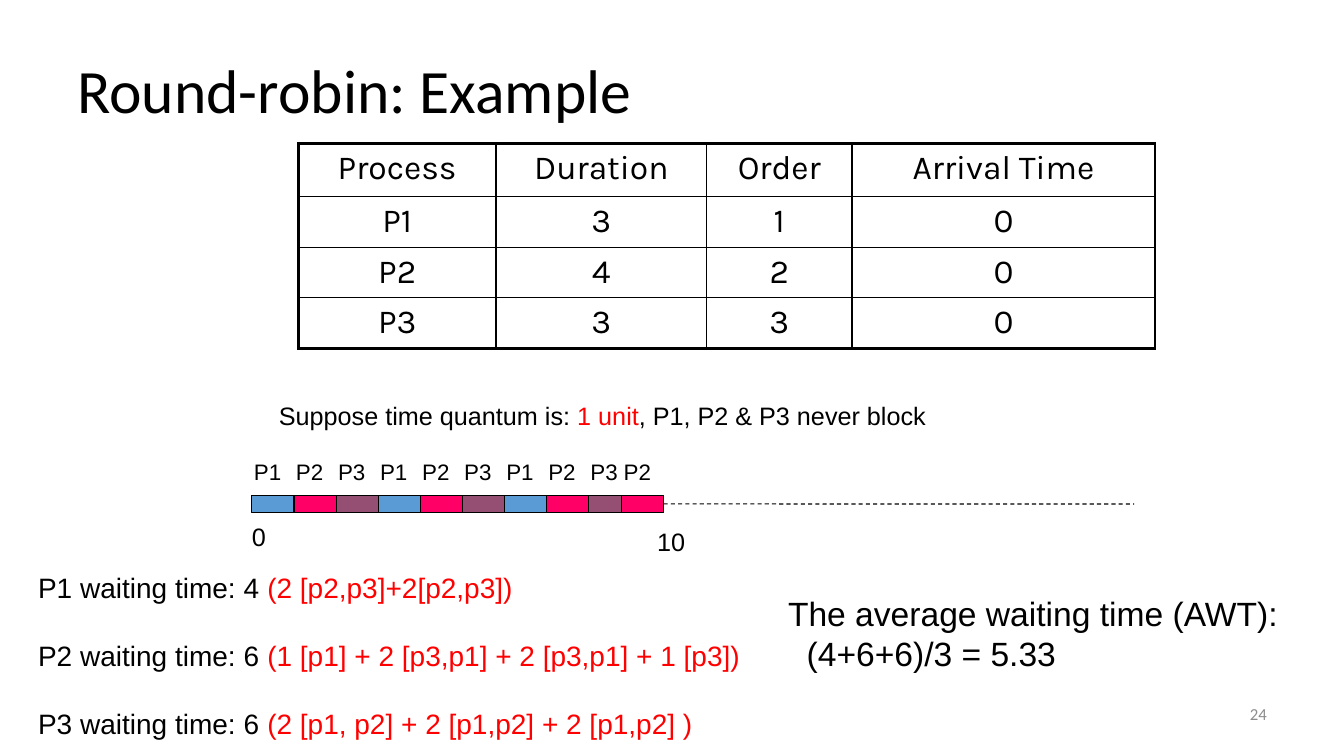
import pptx
import pptx.util
import pptx.dml.color
import pptx.enum.dml
import pptx.enum.shapes
import pptx.enum.text
import pptx.oxml
import pptx.oxml.ns
from dataclasses import dataclass

Cm = pptx.util.Cm
Pt = pptx.util.Pt
Align = pptx.enum.text.PP_ALIGN
Anchor = pptx.enum.text.MSO_ANCHOR
Shape = pptx.enum.shapes.MSO_SHAPE

TITLE = "Round-robin: Example"
PAGE = "24"
ROWS = [
    ("Process", "Duration", "Order", "Arrival Time"),
    ("P1", "3", "1", "0"),
    ("P2", "4", "2", "0"),
    ("P3", "3", "3", "0"),
]
WIDTHS = (4.98, 5.31, 3.66, 7.64)
HEIGHTS = (1.35, 1.24, 1.24, 1.24)
QUANTUM = [("Suppose time quantum is: ", "ink"), ("1 unit", "accent"),
           (", P1, P2 & P3 never block", "ink")]
TURNS = ("P1", "P2", "P3", "P1", "P2", "P3", "P1", "P2", "P3", "P2")
WAITS = [
    [("P1 waiting time: 4 ", "ink"), ("(2 [p2,p3]+2[p2,p3])", "accent")],
    [("P2 waiting time: 6 ", "ink"),
     ("(1 [p1] + 2 [p3,p1] + 2 [p3,p1] + 1 [p3])", "accent")],
    [("P3 waiting time: 6 ", "ink"),
     ("(2 [p1, p2] + 2 [p1,p2] + 2 [p1,p2] )", "accent")],
]
AVERAGE = ("The average waiting time (AWT):", "(4+6+6)/3 = 5.33")


@dataclass
class Theme:
    ink: str = "000000"
    accent: str = "FF0000"
    muted: str = "8C8C8C"
    P1: str = "5B9BD5"
    P2: str = "FF0066"
    P3: str = "954F72"
    head: str = "Calibri"
    body: str = "Arial"
    grid: str = "Karla"
    title: int = 44
    large: int = 24
    wait: int = 20
    note: int = 18
    label: int = 16
    small: int = 12
    thin: float = 0.75
    inner: float = 1
    outer: float = 2.25


theme = Theme()


def color(name):
    return pptx.dml.color.RGBColor.from_string(getattr(theme, name))


def add_run(para, text, size, font=theme.body, tint="ink"):
    run = para.add_run()
    run.text = text
    run.font.size = Pt(size)
    run.font.name = font
    run.font.bold = False
    run.font.color.rgb = color(tint)


def add_text(slide, box, lines, size, font=theme.body, wrap=False,
             anchor=Anchor.TOP):
    """Add a text box; each line is a list of (text, tint) runs."""
    frame = slide.shapes.add_textbox(*map(Cm, box)).text_frame
    frame.word_wrap = wrap
    frame.vertical_anchor = anchor
    for i, line in enumerate(lines):
        para = frame.add_paragraph() if i else frame.paragraphs[0]
        for text, tint in line:
            add_run(para, text, size, font, tint)
    return frame.paragraphs


def add_border(cell, sides):
    """Draw the sides, given as (tag, width) in schema order."""
    props = cell._tc.get_or_add_tcPr()
    for i, (tag, width) in enumerate(sides):
        props.insert(i, pptx.oxml.parse_xml(
            f'<a:{tag} {pptx.oxml.ns.nsdecls("a")} w="{Pt(width)}">'
            f'<a:solidFill><a:srgbClr val="{theme.ink}"/></a:solidFill>'
            f'</a:{tag}>'))


def add_grid(slide):
    rows, cols = len(ROWS), len(WIDTHS)
    table = slide.shapes.add_table(
        rows, cols, Cm(7.52), Cm(3.61),
        Cm(sum(WIDTHS)), Cm(sum(HEIGHTS))).table
    table.first_row = table.horz_banding = False
    for col, width in zip(table.columns, WIDTHS):
        col.width = Cm(width)
    for row, height in zip(table.rows, HEIGHTS):
        row.height = Cm(height)
    for r, texts in enumerate(ROWS):
        for c, text in enumerate(texts):
            cell = table.cell(r, c)
            cell.fill.background()
            edges = (("lnL", c == 0), ("lnR", c == cols - 1),
                     ("lnT", r == 0), ("lnB", r == rows - 1))
            add_border(cell, [(tag, theme.outer if edge else theme.inner)
                              for tag, edge in edges])
            para = cell.text_frame.paragraphs[0]
            para.alignment = Align.CENTER
            add_run(para, text, theme.large, theme.grid)


def add_turns(slide):
    """Draw the time line with one labelled block per turn."""
    left, axis, step, height, last = 6.35, 12.7, 1.06, 0.42, 15.67
    line = slide.shapes.add_connector(
        pptx.enum.shapes.MSO_CONNECTOR.STRAIGHT,
        Cm(left), Cm(axis), Cm(28.58), Cm(axis))
    line.line.color.rgb = color("ink")
    line.line.width = Pt(theme.thin)
    line.line.dash_style = pptx.enum.dml.MSO_LINE.DASH
    line._element.spPr.append(pptx.oxml.parse_xml(
        f'<a:effectLst {pptx.oxml.ns.nsdecls("a")}/>'))

    starts = [left + step * i for i in range(len(TURNS) - 1)] + [last]
    for i, (name, x) in enumerate(zip(TURNS, starts)):
        block = slide.shapes.add_shape(
            Shape.RECTANGLE, Cm(x), Cm(axis - height / 2),
            Cm(step), Cm(height))
        block.shadow.inherit = False
        block.fill.solid()
        block.fill.fore_color.rgb = color(name)
        block.line.color.rgb = color("ink")
        block.line.width = Pt(theme.thin)
        if i == 0:
            line.begin_connect(block, 1)
        add_text(slide, (x - 0.2, 11.43, 1.19, 0.94),
                 [[(name, "ink")]], theme.label)
    add_text(slide, (6.1, 13, 0.86, 1.02), [[("0", "ink")]], theme.note)
    add_text(slide, (16.31, 13.13, 1.22, 1.02), [[("10", "ink")]], theme.note)


def main():
    deck = pptx.Presentation()
    deck.slide_width, deck.slide_height = Cm(33.87), Cm(19.05)
    slide = deck.slides.add_slide(deck.slide_layouts[6])

    page = add_text(slide, (24.28, 17.35, 7.9, 1.27), [[(PAGE, "muted")]],
                    theme.small, theme.head, True, Anchor.MIDDLE)
    page[0].alignment = Align.RIGHT
    title = add_text(slide, (1.7, 0.76, 30.48, 3.18), [[(TITLE, "ink")]],
                     theme.title, theme.head, True, Anchor.MIDDLE)
    title[0].line_spacing = 0.9

    add_grid(slide)
    add_text(slide, (6.78, 9.96, 16.81, 1.02), [QUANTUM], theme.note)
    add_turns(slide)

    waits = add_text(slide, (0.71, 14.25, 18.9, 4.52), WAITS,
                     theme.wait, wrap=True)
    for para in waits[1:]:
        para.space_before = Pt(24.4)
    average = add_text(slide, (19.61, 14.81, 13.21, 2.31),
                       [[(text, "ink")] for text in AVERAGE], theme.large)
    average[1]._p.get_or_add_pPr().set("marL", str(Cm(0.47)))

    deck.save("out.pptx")


if __name__ == "__main__":
    main()
